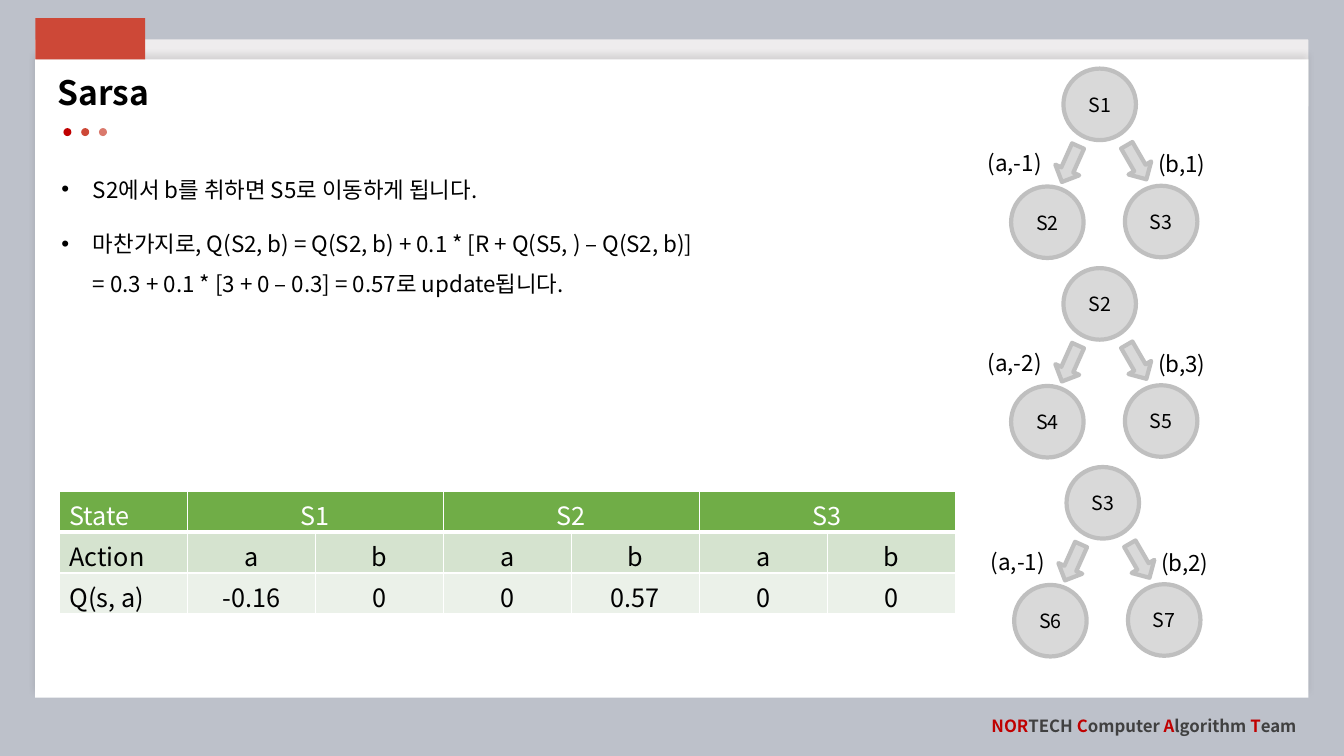
from lxml import etree
from pptx import Presentation
from pptx.dml.color import RGBColor
from pptx.enum.shapes import MSO_SHAPE
from pptx.enum.text import MSO_ANCHOR, MSO_AUTO_SIZE, PP_ALIGN
from pptx.oxml import parse_xml
from pptx.oxml.ns import nsdecls, qn
from pptx.util import Pt

FONT = "Noto Sans CJK KR"
BLACK = RGBColor(0x00, 0x00, 0x00)
WHITE = RGBColor(0xFF, 0xFF, 0xFF)
BACKDROP = RGBColor(0xBD, 0xC1, 0xCA)
PAPER_EDGE = RGBColor(0xEE, 0xEC, 0xED)
RED = RGBColor(0xCD, 0x48, 0x37)
DARK_RED = RGBColor(0xC0, 0x00, 0x00)
LIGHT_RED = RGBColor(0xDA, 0x79, 0x6C)
DARK_GRAY = RGBColor(0x40, 0x40, 0x40)
NODE_FILL = RGBColor(0xD9, 0xD9, 0xD9)
NODE_LINE = RGBColor(0xBF, 0xBF, 0xBF)
HEADER_GREEN = RGBColor(0x70, 0xAD, 0x47)
ACTION_GREEN = RGBColor(0xD5, 0xE3, 0xCF)
VALUE_GREEN = RGBColor(0xEB, 0xF1, 0xE9)

RECTANGLE = MSO_SHAPE.RECTANGLE
ROUNDED = MSO_SHAPE.ROUNDED_RECTANGLE
OVAL = MSO_SHAPE.OVAL
RIGHT_ARROW = MSO_SHAPE.RIGHT_ARROW
LEFT, CENTER, RIGHT = PP_ALIGN.LEFT, PP_ALIGN.CENTER, PP_ALIGN.RIGHT
TOP, MIDDLE = MSO_ANCHOR.TOP, MSO_ANCHOR.MIDDLE

presentation = Presentation()
presentation.slide_width = Pt(960)
presentation.slide_height = Pt(540)
slide = presentation.slides.add_slide(presentation.slide_layouts[1])
slide.background.fill.solid()
slide.background.fill.fore_color.rgb = BACKDROP


def add_plain_shape(kind, left, top, width, height, fill, line=None):
    shape = slide.shapes.add_shape(kind, Pt(left), Pt(top), Pt(width), Pt(height))
    shape.shadow.inherit = False
    shape.fill.solid()
    shape.fill.fore_color.rgb = fill
    if line is None:
        shape.line.fill.background()
    else:
        shape.line.color.rgb = line
        shape.line.width = Pt(3)
    return shape


def style_runs(paragraph, size, color, bold=False):
    """Format every run, with the same font for Latin and Korean text."""
    for run in paragraph.runs:
        run.font.name = FONT
        run.font.size = Pt(size)
        run.font.bold = bold
        run.font.color.rgb = color
        east_asian = etree.SubElement(run.font._element, qn("a:ea"))
        east_asian.set("typeface", FONT)


# Paper, red tab and dots
paper_edge = add_plain_shape(ROUNDED, 25.2, 28.1, 909.4, 48.2, PAPER_EDGE)
paper_edge.adjustments[0] = 0.015
paper = add_plain_shape(RECTANGLE, 25.2, 42.5, 909.4, 455.8, WHITE)
paper_effects = paper.element.spPr.find(qn("a:effectLst"))
paper_effects.append(parse_xml(
    f'<a:outerShdw {nsdecls("a")} blurRad="{Pt(4)}" dist="{Pt(3)}" dir="16200000" '
    'rotWithShape="0"><a:srgbClr val="000000"><a:alpha val="10000"/></a:srgbClr>'
    '</a:outerShdw>'))
for index, color in enumerate((DARK_RED, RED, LIGHT_RED)):
    add_plain_shape(OVAL, 45.3 + 12.7 * index, 91.5, 5.7, 5.7, color)
add_plain_shape(RECTANGLE, 25.2, 13, 78.5, 29.5, RED)

# Team name
footer = slide.shapes.add_textbox(Pt(699.1), Pt(507.6), Pt(234), Pt(21.6))
footer.text_frame.word_wrap = False
footer.text_frame.vertical_anchor = MIDDLE
team_name = footer.text_frame.paragraphs[0]
team_name.alignment = RIGHT
for text in ("NOR", "TECH ", "C", "omputer ", "A", "lgorithm ", "T", "eam"):
    team_name.add_run().text = text
style_runs(team_name, 12, DARK_GRAY, bold=True)
for run in team_name.runs[::2]:
    run.font.color.rgb = DARK_RED

# Title and explanation
title = slide.shapes.title
body = slide.placeholders[1]
for placeholder, left, top, width, height in (
        (body, 36.7, 112.3, 613.4, 371.5), (title, 33.8, 51.1, 303.1, 33.1)):
    placeholder.left, placeholder.top = Pt(left), Pt(top)
    placeholder.width, placeholder.height = Pt(width), Pt(height)
    placeholder.text_frame.word_wrap = True
    placeholder.text_frame.auto_size = MSO_AUTO_SIZE.NONE
    placeholder.text_frame.vertical_anchor = TOP
    # Bring the text in front of the paper
    placeholder.element.getparent().append(placeholder.element)

title.text_frame.text = "Sarsa"
heading = title.text_frame.paragraphs[0]
heading.alignment = LEFT
heading.line_spacing = 0.9
heading.space_before = Pt(10)
style_runs(heading, 24, BLACK, bold=True)

body.text_frame.text = (
    "S2에서 b를 취하면 S5로 이동하게 됩니다.\n"
    "마찬가지로, Q(S2, b) = Q(S2, b) + 0.1 * [R + Q(S5, ) – Q(S2, b)]\v"
    "= 0.3 + 0.1 * [3 + 0 – 0.3] = 0.57로 update됩니다.")
for paragraph in body.text_frame.paragraphs:
    paragraph.line_spacing = 1.5
    paragraph.space_before = Pt(10)
    style_runs(paragraph, 16, BLACK)
    properties = paragraph._p.get_or_add_pPr()
    properties.set("marL", str(Pt(22.5)))
    properties.set("indent", str(Pt(-22.5)))
    etree.SubElement(properties, qn("a:buFont")).set("typeface", "Arial")
    etree.SubElement(properties, qn("a:buChar")).set("char", "•")

# State trees: root position, states (root, left, right), rewards (left, right)
TREES = [
    (759.6, 49, ("S1", "S2", "S3"), ("(a,-1)", "(b,1)")),
    (759.6, 191.5, ("S2", "S4", "S5"), ("(a,-2)", "(b,3)")),
    (761.8, 333.6, ("S3", "S6", "S7"), ("(a,-1)", "(b,2)")),
]
NODE_OFFSETS = [(0, 0), (-37.4, 84.2), (43.9, 83.7)]
ARROW_OFFSETS = [(-9.4, 58.8, 114.1), (38.2, 57.6, 60)]
REWARD_OFFSETS = [(-61.2, 44.6), (60.5, 45.2)]
for root_left, root_top, states, rewards in TREES:
    for state, (dx, dy) in zip(states, NODE_OFFSETS):
        node = add_plain_shape(OVAL, root_left + dx, root_top + dy, 51.8, 51.1,
                               NODE_FILL, NODE_LINE)
        node.text_frame.text = state
        node.text_frame.vertical_anchor = MIDDLE
        node.text_frame.paragraphs[0].alignment = CENTER
        style_runs(node.text_frame.paragraphs[0], 14, BLACK)
    for dx, dy, angle in ARROW_OFFSETS:
        arrow = add_plain_shape(RIGHT_ARROW, root_left + dx, root_top + dy, 28.1, 18.7,
                                NODE_FILL, NODE_LINE)
        arrow.rotation = angle
    for reward, (dx, dy) in zip(rewards, REWARD_OFFSETS):
        label = slide.shapes.add_textbox(Pt(root_left + dx), Pt(root_top + dy),
                                         Pt(80.6), Pt(46.1))
        label.text_frame.word_wrap = True
        label.text_frame.text = reward
        paragraph = label.text_frame.paragraphs[0]
        paragraph.line_spacing = 1.5
        paragraph.space_before = Pt(10)
        style_runs(paragraph, 16, BLACK)

# Q table
Q_ROWS = [
    (HEADER_GREEN, WHITE, ("State", "S1", "", "S2", "", "S3", "")),
    (ACTION_GREEN, BLACK, ("Action", "a", "b", "a", "b", "a", "b")),
    (VALUE_GREEN, BLACK, ("Q(s, a)", "-0.16", "0", "0", "0.57", "0", "0")),
]
table = slide.shapes.add_table(3, 7, Pt(42.5), Pt(350.9), Pt(640), Pt(87.6)).table
table.first_row = False
table.horz_banding = False
for column in table.columns:
    column.width = Pt(91.43)
for row_index, (fill, text_color, values) in enumerate(Q_ROWS):
    for column_index, value in enumerate(values):
        cell = table.cell(row_index, column_index)
        cell.text = value
        cell.fill.solid()
        cell.fill.fore_color.rgb = fill
        paragraph = cell.text_frame.paragraphs[0]
        paragraph.alignment = CENTER if column_index else LEFT
        style_runs(paragraph, 18, text_color)
        below, above = (3 if row_index == 0 else 1), (3 if row_index == 1 else 1)
        borders = (("lnL", 1), ("lnR", 1), ("lnT", above), ("lnB", below))
        for position, (side, width) in enumerate(borders):
            cell._tc.get_or_add_tcPr().insert(position, parse_xml(
                f'<a:{side} {nsdecls("a")} w="{Pt(width)}"><a:solidFill>'
                f'<a:srgbClr val="{WHITE}"/></a:solidFill></a:{side}>'))
for first in (1, 3, 5):
    table.cell(0, first).merge(table.cell(0, first + 1))

presentation.save("out.pptx")
